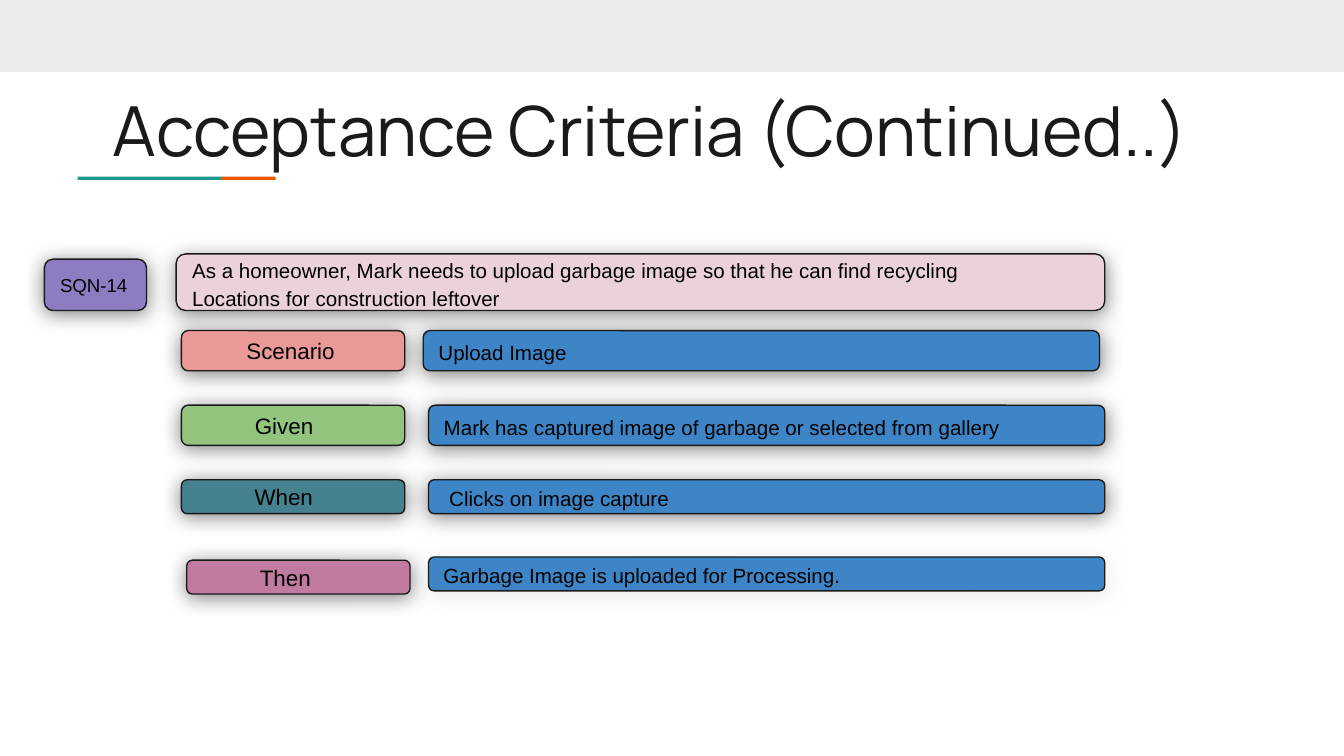
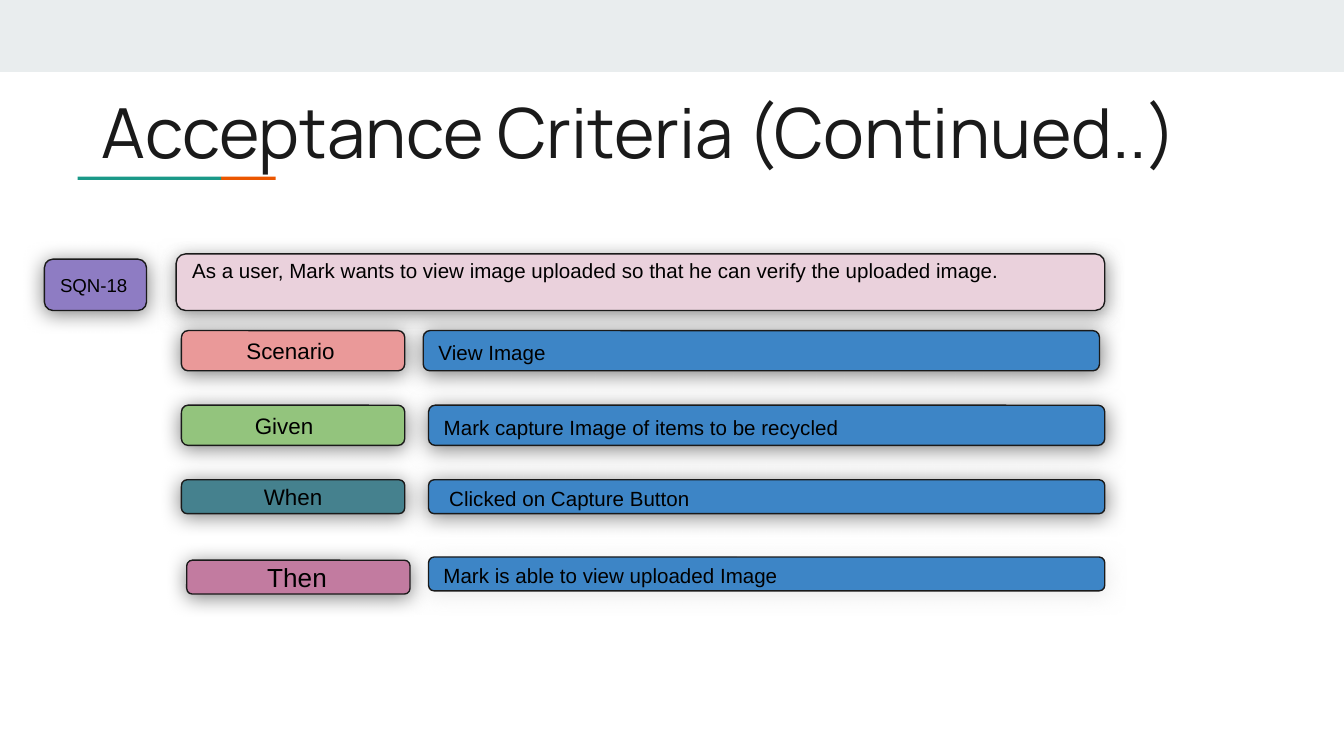
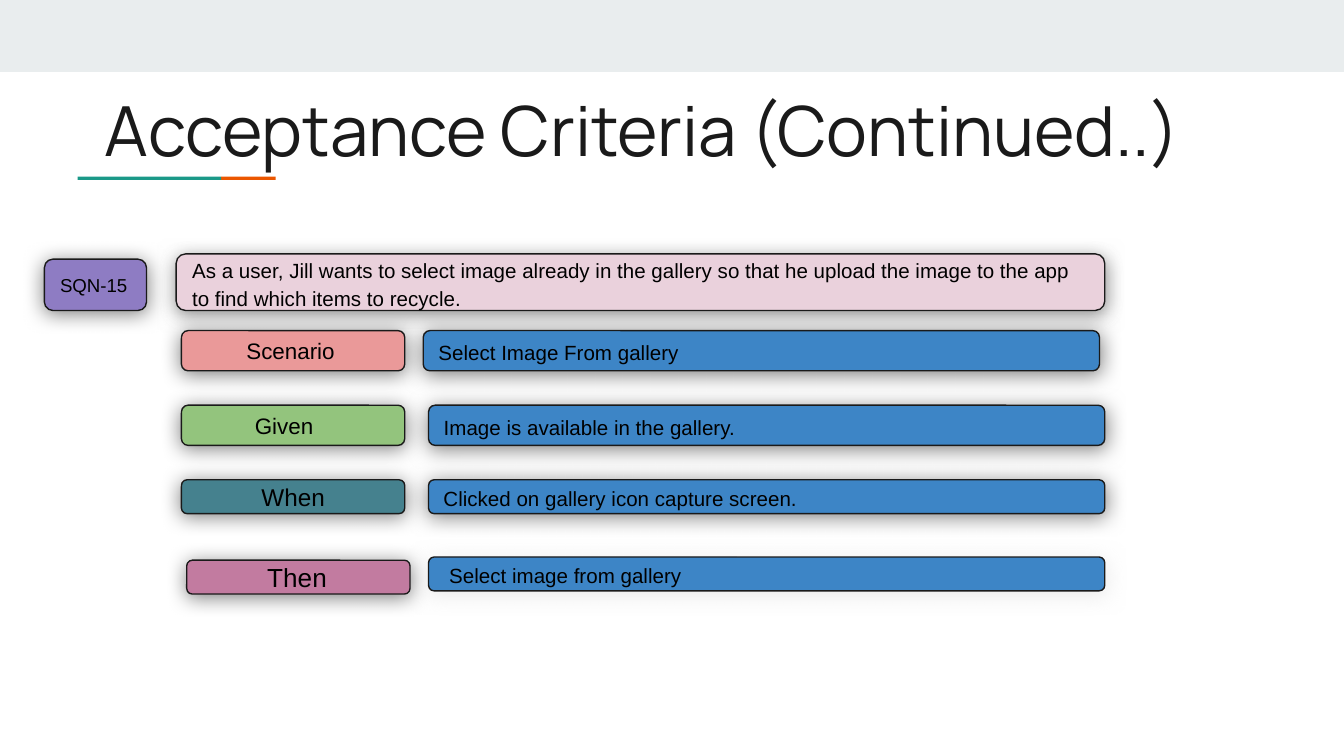
import pptx
import pptx.util
import pptx.dml.color
import pptx.enum.shapes
import pptx.enum.text
import pptx.oxml.ns
from lxml import etree

Cm, Pt = pptx.util.Cm, pptx.util.Pt
SHAPE = pptx.enum.shapes.MSO_SHAPE
ALIGN = pptx.enum.text.PP_ALIGN
ANCHOR = pptx.enum.text.MSO_ANCHOR

# Content: indents are in cm, a label's indent of None centres it
HEADING = "Acceptance Criteria (Continued..)"
STORIES = [
    {
        "key": "SQN-14",
        "story": ["As a homeowner, Mark needs to upload garbage image so that he can find recycling",
                  "Locations for construction leftover"],
        "steps": [("Upload Image", 0),
                  ("Mark has captured image of garbage or selected from gallery", 0),
                  ("Clicks on image capture", 0.11),
                  ("Garbage Image is uploaded for Processing.", 0)],
        "when": (12, 1.1), "then": (12, 1.1),
        "heading_box": (1.88, 1.4, 24.28), "heading_indent": 0, "free_line": 0,
    },
    {
        "key": "SQN-18",
        "story": ["As a user, Mark wants to view image uploaded so that he can verify the uploaded image."],
        "steps": [("View Image", 0),
                  ("Mark capture Image of items to be recycled", 0),
                  ("Clicked on Capture Button", 0.11),
                  ("Mark is able to view uploaded Image", 0)],
        "when": (12, None), "then": (14, 1.24),
        "heading_box": (1.14, 1.45, 26.67), "heading_indent": 0.53, "free_line": 0.53,
    },
    {
        "key": "SQN-15",
        "story": ["As a user, Jill wants to select image already in the gallery so that he upload "
                  "the image to the app to find which items to recycle."],
        "steps": [("Select Image From gallery", 0),
                  ("Image is available in the gallery.", 0),
                  ("Clicked on gallery icon capture screen.", 0),
                  ("Select image from gallery", 0.11)],
        "when": (13, None), "then": (14, 1.24),
        "heading_box": (1.73, 1.4, 24.97), "heading_indent": 0, "free_line": 0,
    },
]

# Theme: colours, fonts, type sizes, shadows (colour, opacity %, blur pt)
THEME = {
    "band": "E9EDEE", "teal": "1A9988", "orange": "EB5600", "ink": "1A1A1A", "text": "000000",
    "story": "EAD1DC", "key": "8E7CC3", "step": "3D85C6",
    "heading_font": "Manrope", "body_font": "Arial",
    "heading_size": 37, "body_size": 11, "key_size": 10, "label_size": 12,
    "shadow": ("000000", 50, 11.2), "story_shadow": ("595959", 70, 10.1),
    "pale_shadow": ("D5D5D5", 50, 11.2),
}

# Layout in cm
SLIDE_SIZE = (25.4, 14.29)
INSET = 0.25
DECORATION = [((0, 0, 25.4, 1.36), "band"),
              ((4.18, 3.34, 1.03, 0.06), "orange"),
              ((1.47, 3.34, 2.71, 0.06), "teal")]
STORY_BOX = (3.33, 4.8, 17.55, 1.07)
KEY_BOX = (0.84, 4.9, 1.93, 0.97)
LABEL_WIDTH, STEP_WIDTH = 4.22, 12.78
# label, fill, label left and top, step left and top, height, shadow of the step
ROWS = [("Scenario", "EA9999", (3.43, 6.25), (8.0, 6.25), 0.76, "shadow"),
        ("Given", "93C47D", (3.43, 7.66), (8.1, 7.66), 0.76, "shadow"),
        ("When", "45818E", (3.43, 9.07), (8.1, 9.07), 0.64, "shadow"),
        ("Then", "C27BA0", (3.53, 10.59), (8.1, 10.53), 0.64, "pale_shadow")]


def rgb(code):
    return pptx.dml.color.RGBColor.from_string(code)


def assign(target, values):
    for name, value in values.items():
        setattr(target, name, value)


def write(shape, lines, size, font, color, frame=None, paragraph=None):
    text_frame = shape.text_frame
    margins = {f"margin_{side}": Cm(INSET) for side in ("left", "top", "right", "bottom")}
    assign(text_frame, {"word_wrap": True, **margins, **(frame or {})})
    text_frame.text = "\n".join(lines)
    for line in text_frame.paragraphs:
        assign(line, {"alignment": ALIGN.LEFT, **(paragraph or {})})
        run_font = line.runs[0].font
        assign(run_font, {"size": Pt(size), "name": font, "bold": False})
        run_font.color.rgb = rgb(color)


def block(slide, kind, box, fill):
    shape = slide.shapes.add_shape(kind, *map(Cm, box))
    shape.shadow.inherit = False
    shape.fill.solid()
    shape.fill.fore_color.rgb = rgb(fill)
    shape.line.fill.background()
    return shape


def cast_shadow(shape, color, opacity, blur):
    qn = pptx.oxml.ns.qn
    effects = shape.element.spPr.find(qn("a:effectLst"))
    shadow = etree.SubElement(effects, qn("a:outerShdw"), {
        "blurRad": str(int(Pt(blur))), "dist": str(int(Pt(1.5))), "dir": "5400000",
        "algn": "bl", "rotWithShape": "0"})
    tint = etree.SubElement(shadow, qn("a:srgbClr"), val=color)
    etree.SubElement(tint, qn("a:alpha"), val=str(opacity * 1000))


def card(slide, box, fill, lines, size, shadow="shadow", frame=None, paragraph=None):
    shape = block(slide, SHAPE.ROUNDED_RECTANGLE, box, fill)
    shape.line.color.rgb = rgb(THEME["ink"])
    shape.line.width = Pt(0.75)
    cast_shadow(shape, *THEME[shadow])
    write(shape, lines, size, THEME["body_font"], THEME["text"],
          {"vertical_anchor": ANCHOR.MIDDLE, **(frame or {})}, paragraph)


def add_heading(slide, story):
    heading = slide.shapes.title
    left, top, width = story["heading_box"]
    assign(heading, {"left": Cm(left), "top": Cm(top), "width": Cm(width), "height": Cm(2.08)})
    write(heading, [HEADING], THEME["heading_size"], THEME["heading_font"], THEME["ink"],
          {"vertical_anchor": ANCHOR.TOP, "margin_left": Cm(INSET + story["heading_indent"]),
           "auto_size": pptx.enum.text.MSO_AUTO_SIZE.SHAPE_TO_FIT_TEXT})
    # The heading's descender lies over the accent line
    heading.element.getparent().append(heading.element)


def add_story(deck, story):
    slide = deck.slides.add_slide(deck.slide_layouts[5])
    for box, color in DECORATION:
        block(slide, SHAPE.RECTANGLE, box, THEME[color])

    # User story and its key
    spaced = {"line_spacing": 1.15}
    card(slide, STORY_BOX, THEME["story"], story["story"], THEME["body_size"], "story_shadow",
         {"margin_bottom": Cm(INSET + story["free_line"])}, spaced)
    card(slide, KEY_BOX, THEME["key"], [story["key"]], THEME["key_size"])

    # Labels on the left, steps on the right
    label_formats = [(THEME["label_size"], 0.94), (THEME["label_size"], 1.1),
                     story["when"], story["then"]]
    for row, (size, indent), (step, step_indent) in zip(ROWS, label_formats, story["steps"]):
        label, fill, label_at, step_at, height, shadow = row
        card(slide, (*label_at, LABEL_WIDTH, height), fill, [label], size,
             frame={"margin_left": Cm(INSET + (indent or 0))},
             paragraph={"alignment": ALIGN.CENTER if indent is None else ALIGN.LEFT})
        card(slide, (*step_at, STEP_WIDTH, height), THEME["step"], [step], THEME["body_size"],
             shadow, {"margin_left": Cm(INSET + step_indent)}, spaced)
    add_heading(slide, story)


def main():
    deck = pptx.Presentation()
    deck.slide_width, deck.slide_height = map(Cm, SLIDE_SIZE)
    for story in STORIES:
        add_story(deck, story)
    deck.save("out.pptx")


if __name__ == "__main__":
    main()
